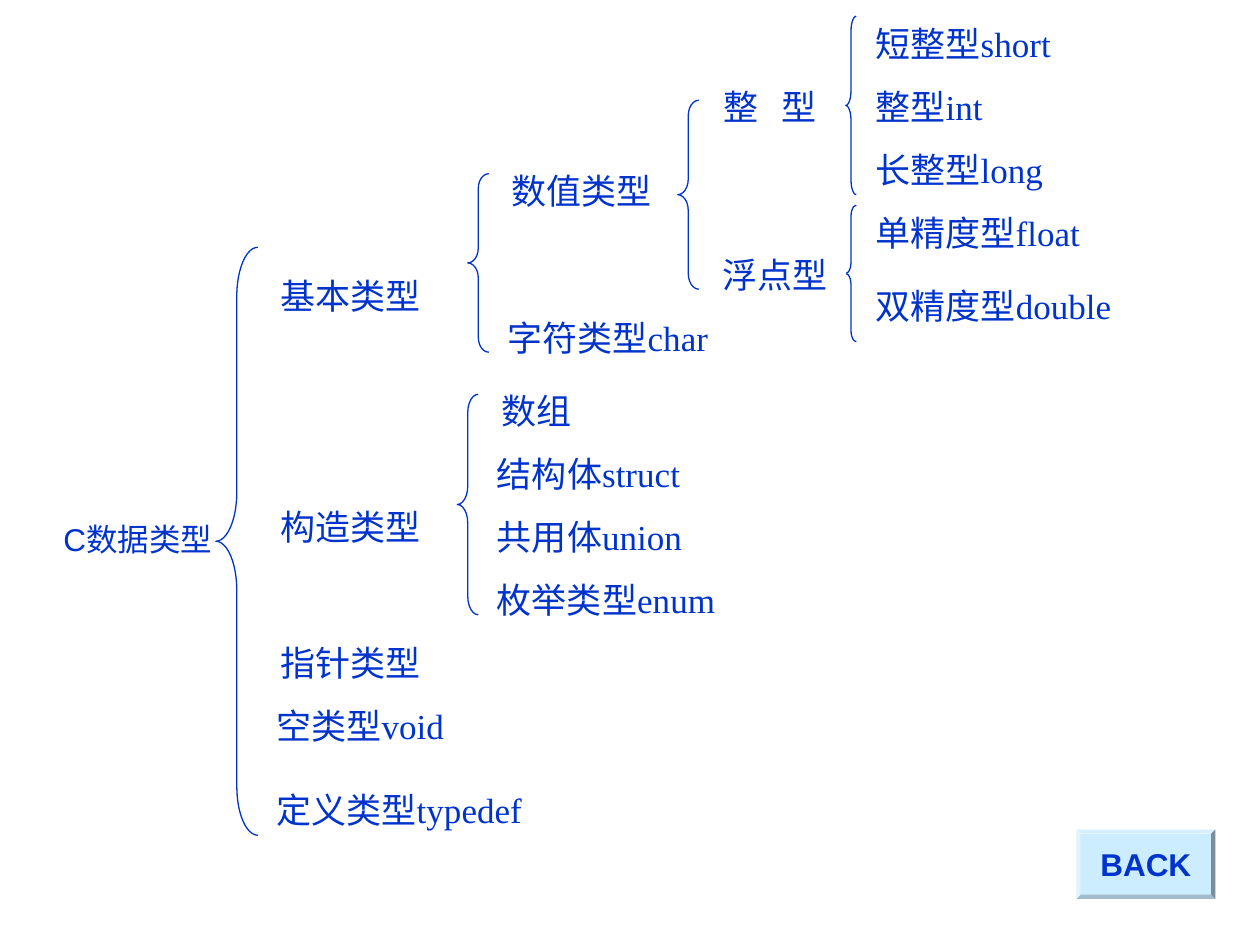
from pptx import Presentation, util as u
from pptx.dml.color import RGBColor
from pptx.enum import shapes, text

COLS, ROWS = 240, 180
BLUE, PALE, WHITE = "0033CC", "CCECFF", "FFFFFF"

deck = Presentation()
deck.slide_width, deck.slide_height = u.Inches(10), u.Inches(7.5)
slide = deck.slides.add_slide(deck.slide_layouts[6])


def place(col, row, wide, high):
    """Turn grid cells into left, top, width and height."""
    w, h = deck.slide_width / COLS, deck.slide_height / ROWS
    return int(col * w), int(row * h), int(wide * w), int(high * h)


def paint(fill, color):
    fill.solid()
    fill.fore_color.rgb = RGBColor.from_string(color)


# Braces: column, row, width, height
braces = [
    (41.1, 47.1, 8, 112),
    (89.1, 33.1, 4, 34),
    (129.1, 19.1, 4, 36),
    (161.1, 3.1, 2, 34),
    (161.1, 39.1, 2, 26),
    (87.1, 75.1, 4, 42),
]
for col, row, wide, high in braces:
    brace = slide.shapes.add_shape(
        shapes.MSO_SHAPE.LEFT_BRACE, *place(col, row, wide, high))
    brace.adjustments[0] = high / wide / 12
    brace.shadow.inherit = False
    paint(brace.fill, WHITE)
    paint(brace.line.fill, BLUE)
    brace.line.width = u.Pt(0.75)

# Type names: text, column, row, width
types = [
    ("基本类型", 51.1, 51.1, 33),
    ("构造类型", 51, 95.1, 34),
    ("指针类型", 51.1, 121, 33),
    ("空类型void", 50.3, 133, 40),
    ("定义类型typedef", 50.3, 149, 55),
    ("数值类型", 95, 31.1, 33),
    ("字符类型char", 94.3, 59.1, 46),
    ("数组", 93.1, 73, 20),
    ("结构体struct", 92.3, 85, 43),
    ("共用体union", 92.3, 97, 43),
    ("枚举类型enum", 92.3, 109, 49),
    ("整   型", 135.4, 15.1, 24),
    ("浮点型", 135.2, 47.1, 26),
    ("短整型short", 164.4, 3.1, 41),
    ("整型int", 164.4, 15.1, 28),
    ("长整型long", 164.4, 27.1, 40),
    ("单精度型float", 164.4, 39.1, 47),
    ("双精度型double", 164.4, 53, 53),
]
root = ("C数据类型", 9.7, 97.9, 36)
for item in types + [root]:
    name, col, row, wide = item
    box = slide.shapes.add_textbox(*place(col, row, wide, 10.5))
    frame = box.text_frame
    frame.text = name
    frame.word_wrap = True
    font = frame.paragraphs[0].runs[0].font
    paint(font.fill, BLUE)
    if item is root:
        font.size, font.name = u.Pt(18), "Arial"
    else:
        font.size, font.name = u.Pt(20), "Times New Roman"
        paint(box.fill, WHITE)

# Back button
back = slide.shapes.add_shape(
    shapes.MSO_SHAPE.BEVEL, *place(205, 158, 26.5, 13.2))
back.adjustments[0] = 0.06
back.shadow.inherit = False
paint(back.fill, PALE)
back.line.fill.background()
frame = back.text_frame
frame.text = "BACK"
frame.word_wrap = False
frame.vertical_anchor = text.MSO_ANCHOR.MIDDLE
frame.paragraphs[0].alignment = text.PP_ALIGN.CENTER
font = frame.paragraphs[0].runs[0].font
font.size, font.name, font.bold = u.Pt(18), "Arial", True
paint(font.fill, BLUE)

deck.save("out.pptx")
